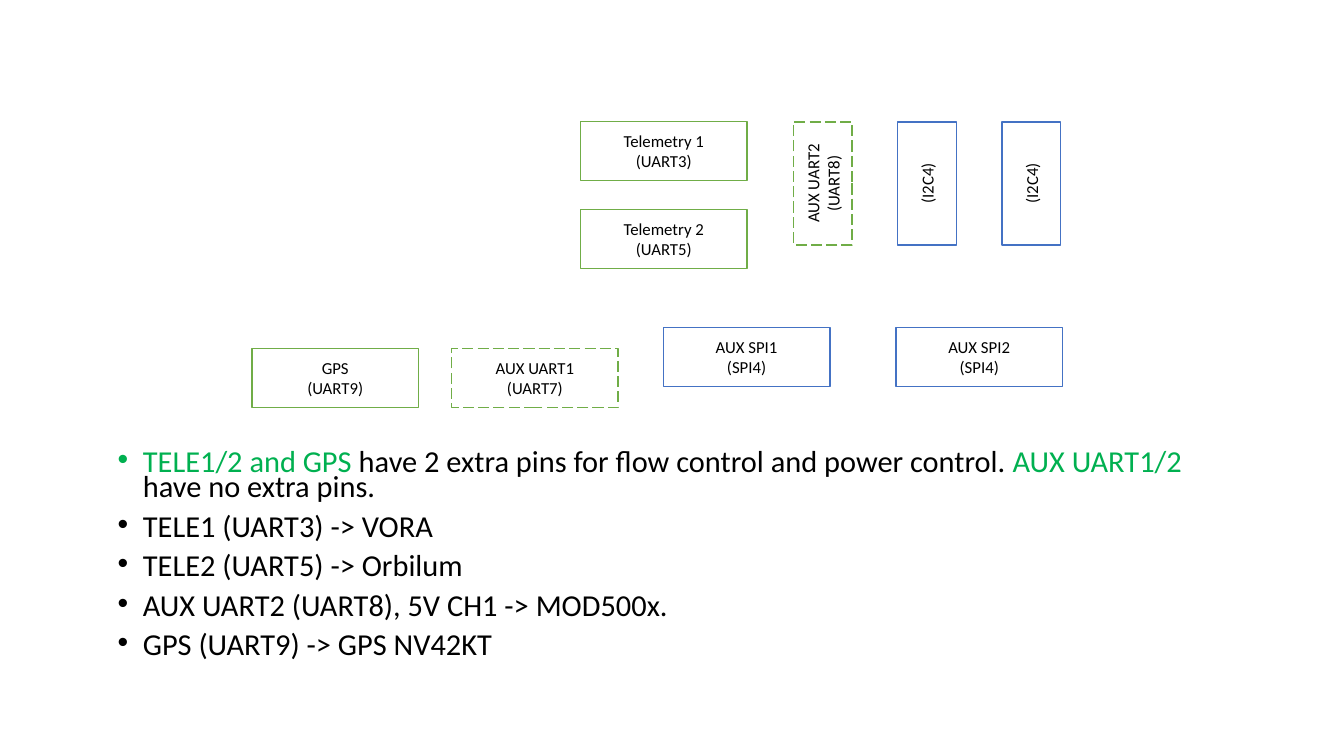
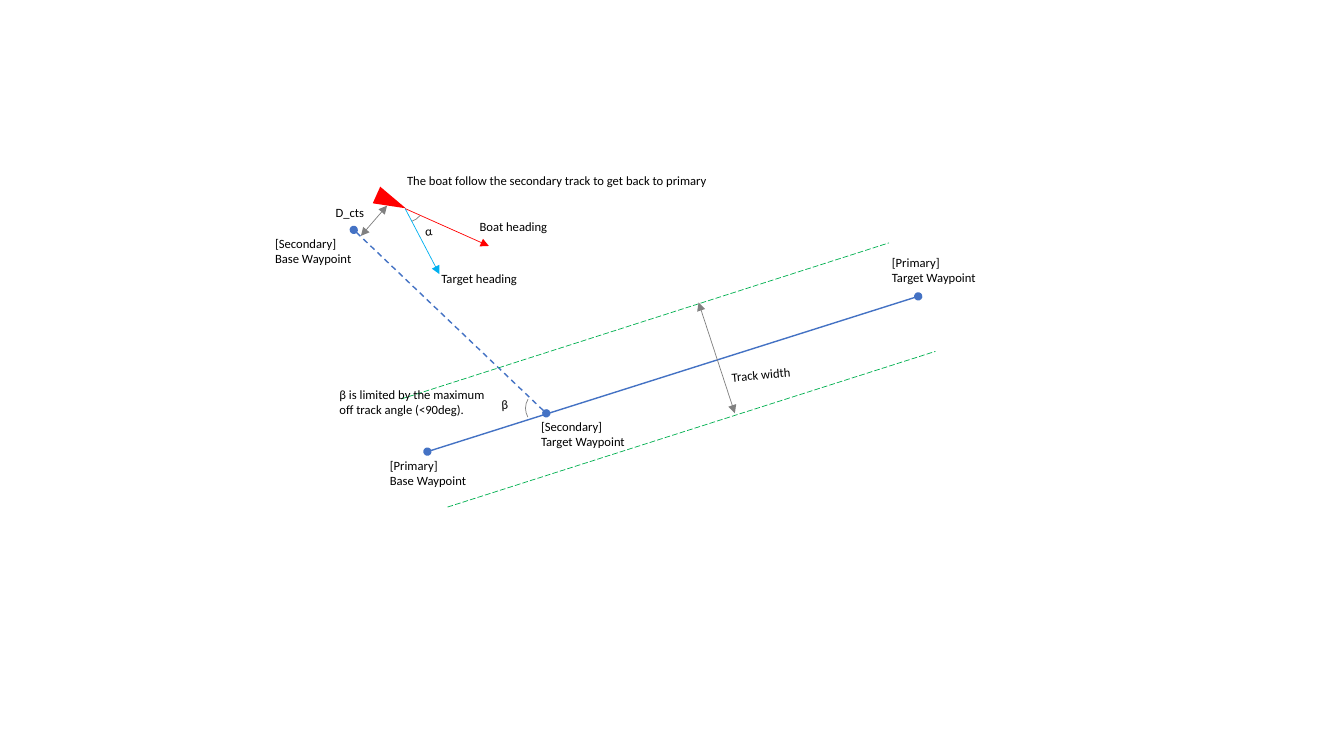
from lxml import etree
from pptx import Presentation
from pptx import util as u
from pptx.dml.color import RGBColor
from pptx.enum import dml, shapes, text
from pptx.oxml.ns import qn

Pt = u.Pt
COLORS = {"black": "000000", "white": "FFFFFF", "green": "70AD47", "blue": "4472C4",
          "accent": "00B050", "red": "FF0000", "sky": "00B0F0", "gray": "808080"}
RGB = {name: RGBColor.from_string(value) for name, value in COLORS.items()}
DASH = dml.MSO_LINE.DASH
LONG_DASH = dml.MSO_LINE.LONG_DASH


def write(frame, paragraphs, size, para_format, frame_format):
    """Fill a text frame; each paragraph is a list of (words, colour) runs."""
    for key, value in frame_format.items():
        setattr(frame, key, value)
    for index, runs in enumerate(paragraphs):
        para = frame.add_paragraph() if index else frame.paragraphs[0]
        for key, value in para_format.items():
            setattr(para, key, value)
        for words, color in runs:
            run = para.add_run()
            run.text = words
            for key, value in {"name": "Calibri", "size": Pt(size)}.items():
                setattr(run.font, key, value)
            run.font.color.rgb = RGB[color]


def style_line(line, color, width, dash=None):
    line.color.rgb = RGB[color]
    line.width = Pt(width)
    if dash:
        line.dash_style = dash


deck = Presentation()
deck.slide_width, deck.slide_height = Pt(960), Pt(540)
blank = deck.slide_layouts[6]

# Slide 1: port layout
ports_slide = deck.slides.add_slide(blank)
PORT_HEIGHT, LONG_SIDE, SHORT_SIDE = 42, 119, 88
port_format = {"word_wrap": True, "vertical_anchor": text.MSO_ANCHOR.MIDDLE}
# lines, left, top, border, dash, upright
ports = [
    (["Telemetry 1", "(UART3)"], 414.7, 87, "green", None, False),
    (["Telemetry 2", "(UART5)"], 414.7, 149.8, "green", None, False),
    (["AUX UART2", "(UART8)"], 543.7, 110, "green", LONG_DASH, True),
    (["(I2C4)"], 618.2, 110, "blue", None, True),
    (["(I2C4)"], 692.7, 110, "blue", None, True),
    (["GPS", "(UART9)"], 180, 249, "green", None, False),
    (["AUX UART1", "(UART7)"], 322.6, 249, "green", LONG_DASH, False),
    (["AUX SPI1", "(SPI4)"], 473.8, 234, "blue", None, False),
    (["AUX SPI2", "(SPI4)"], 640, 234, "blue", None, False),
]
for lines, left, top, border, dash, upright in ports:
    port = ports_slide.shapes.add_shape(
        shapes.MSO_SHAPE.RECTANGLE, Pt(left), Pt(top),
        Pt(SHORT_SIDE if upright else LONG_SIDE), Pt(PORT_HEIGHT))
    port.shadow.inherit = False
    port.rotation = 270 if upright else 0
    port.fill.solid()
    port.fill.fore_color.rgb = RGB["white"]
    style_line(port.line, border, 1, dash)
    write(port.text_frame, [[(line, "black")] for line in lines], 12,
          {"alignment": text.PP_ALIGN.CENTER}, port_format)

# Port notes
notes = [
    [("TELE1/2 and GPS", "accent"),
     (" have 2 extra pins for flow control and power control. ", "black"),
     ("AUX UART1/2 ", "accent"), ("have no extra pins.", "black")],
    [("TELE1 (UART3) -> VORA", "black")],
    [("TELE2 (UART5) -> Orbilum", "black")],
    [("AUX UART2 (UART8), 5V CH1 -> MOD500x.", "black")],
    [("GPS (UART9) -> GPS NV42KT", "black")],
]
port_notes = ports_slide.shapes.add_textbox(Pt(77), Pt(319), Pt(817), Pt(168)).text_frame
write(port_notes, notes, 21.7, {"line_spacing": 0.7, "space_before": Pt(10)},
      {"word_wrap": True})
for para in port_notes.paragraphs:
    props = para._p.get_or_add_pPr()
    props.set("marL", str(Pt(18)))
    props.set("indent", str(-Pt(18)))
    etree.SubElement(props, qn("a:buFont")).set("typeface", "Arial")
    etree.SubElement(props, qn("a:buChar")).set("char", "•")

# Slide 2: track geometry
track_slide = deck.slides.add_slide(blank)
BOW = (289.4, 149)
# start, end, colour, width, dash, start mark, end mark
tracks = [
    ((305.3, 322.6), (655.9, 211.7), "blue", 1, None, "oval", "oval"),
    (BOW, (349.2, 175.7), "red", 0.5, None, None, "triangle"),
    (BOW, (313.9, 195.8), "sky", 0.5, None, None, "triangle"),
    ((276.5, 146.9), (257.8, 168.5), "gray", 0.5, None, "triangle", "triangle"),
    ((252.7, 164.2), (390.2, 295.2), "blue", 1, DASH, "oval", "oval"),
    ((286.6, 285), (635, 173.5), "accent", 0.5, LONG_DASH, None, None),
    ((319.7, 362.2), (668.2, 251), "accent", 0.5, LONG_DASH, None, None),
    ((499, 216), (524.9, 295.2), "gray", 0.5, None, "triangle", "triangle"),
]
for start, end, color, width, dash, start_mark, end_mark in tracks:
    track = track_slide.shapes.add_connector(
        shapes.MSO_CONNECTOR.STRAIGHT, *[Pt(v) for v in start + end])
    style_line(track.line, color, width, dash)
    for tag, mark in (("a:headEnd", start_mark), ("a:tailEnd", end_mark)):
        if mark:
            etree.SubElement(track.get_or_add_ln(), qn(tag)).set("type", mark)
    etree.SubElement(track._element.spPr, qn("a:effectLst"))

# Boat
boat = track_slide.shapes.add_shape(
    shapes.MSO_SHAPE.ISOSCELES_TRIANGLE, Pt(272.9), Pt(132.5), Pt(13), Pt(23))
boat.shadow.inherit = False
boat.rotation = 114.1
boat.adjustments[0] = 0.51
boat.fill.solid()
boat.fill.fore_color.rgb = RGB["red"]
boat.line.fill.background()

# Angle arcs: left, top, rotation, start angle
for left, top, turn, sweep_start in [(275.8, 131.8, 71.3, 198.66), (375.1, 279.4, 211.3, 182.43)]:
    angle = track_slide.shapes.add_shape(
        shapes.MSO_SHAPE.ARC, Pt(left), Pt(top), Pt(28), Pt(26))
    angle.shadow.inherit = False
    angle.rotation = turn
    angle.adjustments[0] = sweep_start
    angle.adjustments[1] = 0
    angle.fill.background()
    style_line(angle.line, "gray", 0.5)

# Labels: lines, left, top, width, height, rotation, wrap
labels = [
    (["D_cts"], 232.6, 142.6, 35.3, 18, 0, False),
    (["α"], 296.4, 156.2, 20, 18, 352.2, False),
    (["[Primary]", "Base Waypoint"], 271.4, 323.3, 69.8, 29, 0, False),
    (["[Primary]", "Target Waypoint"], 630, 178.6, 76.3, 29, 0, False),
    (["Boat heading"], 335.5, 152.6, 63.4, 18, 0, False),
    (["Target heading"], 308.2, 189.8, 69.8, 18, 0, False),
    (["Track width"], 515.5, 258.5, 57.6, 18, 354.9, False),
    (["β"], 351, 280, 20, 18, 357, False),
    (["β is limited by the maximum off track angle (<90deg)."],
     235.4, 273, 126.7, 29, 0, True),
    (["[Secondary]", "Base Waypoint"], 189.4, 164.9, 69.8, 29, 0, False),
    (["[Secondary]", "Target Waypoint"], 379.4, 295.7, 76.3, 29, 0, False),
    (["The boat follow the secondary track to get back to primary"],
     283.7, 119.9, 237.6, 18, 0, False),
]
for lines, left, top, width, height, turn, wrap in labels:
    label = track_slide.shapes.add_textbox(Pt(left), Pt(top), Pt(width), Pt(height))
    label.rotation = turn
    write(label.text_frame, [[(line, "black")] for line in lines], 9, {},
          {"word_wrap": wrap})

deck.save("out.pptx")
